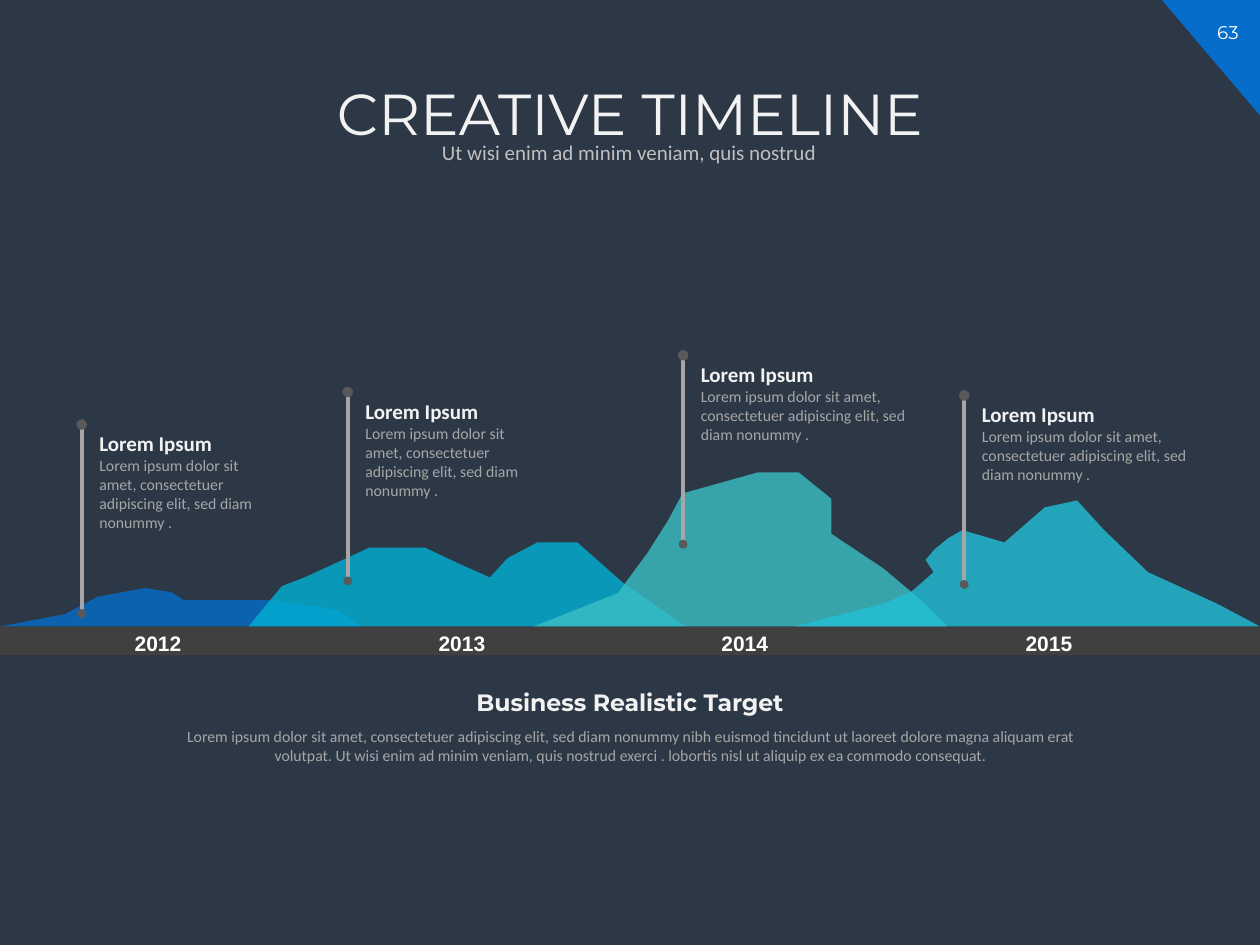
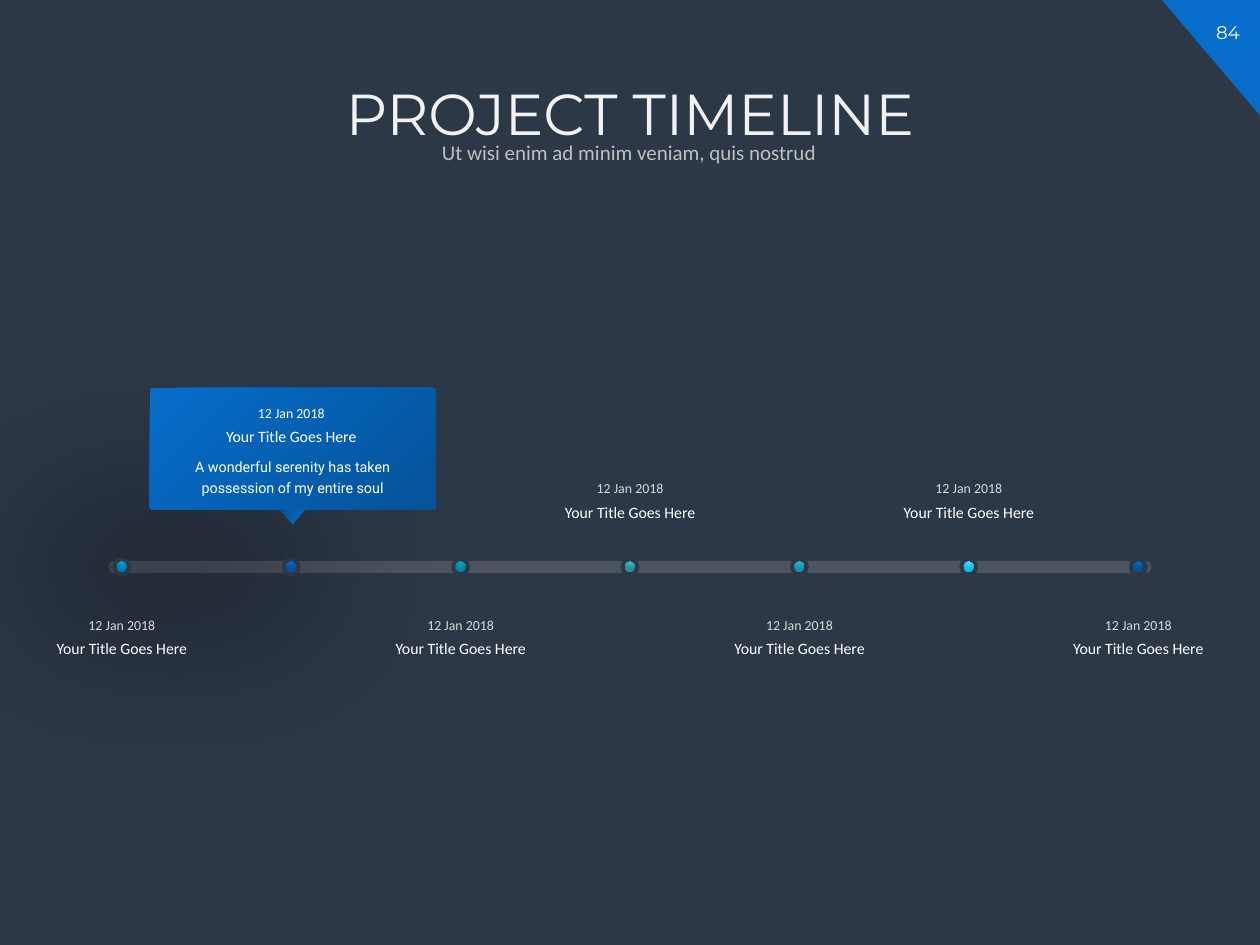
from lxml import etree
from pptx import Presentation
from pptx import util as u
from pptx.dml.color import RGBColor
from pptx.enum import shapes, text
from pptx.oxml import ns

Pt = u.Pt
Kind = shapes.MSO_SHAPE
Align = text.PP_ALIGN
Anchor = text.MSO_ANCHOR

# Colours
NAVY = RGBColor(0x2D, 0x38, 0x47)
BLUE = RGBColor(0x06, 0x6D, 0xCA)
DEEP = RGBColor(0x05, 0x52, 0x98)
SKY = RGBColor(0x00, 0xA4, 0xE6)
CYAN = RGBColor(0x00, 0xB0, 0xD3)
MINT = RGBColor(0x3A, 0xBF, 0xC4)
AQUA = RGBColor(0x21, 0xC0, 0xD7)
ICE = RGBColor(0x55, 0xD4, 0xFA)
BLACK = RGBColor(0, 0, 0)
COAL = RGBColor(0x40, 0x40, 0x40)
STONE = RGBColor(0x59, 0x59, 0x59)
GREY = RGBColor(0xA6, 0xA6, 0xA6)
SILVER = RGBColor(0xBF, 0xBF, 0xBF)
PALE = RGBColor(0xD9, 0xD9, 0xD9)
SNOW = RGBColor(0xF2, 0xF2, 0xF2)
WHITE = RGBColor(0xFF, 0xFF, 0xFF)

# Fonts
HEAD, BODY = "Montserrat", "Calibri"


def add(node, tag, **attrs):
    return etree.SubElement(node, ns.qn(tag), {k: str(v) for k, v in attrs.items()})


def fade(node, share):
    """Set the opacity, in percent, of the first colour under node."""
    add(node.find(".//" + ns.qn("a:srgbClr")), "a:alpha", val=share * 1000)


class Deck:
    def __init__(self):
        self.prs = Presentation()
        self.prs.slide_width, self.prs.slide_height = Pt(720), Pt(540)
        self.slide = None

    def page(self, title, number):
        """Start a slide with its background, corner, number and titles."""
        self.slide = self.prs.slides.add_slide(self.prs.slide_layouts[6])
        back = self.slide.background.fill
        back.solid()
        back.fore_color.rgb = NAVY
        self.shape(Kind.RIGHT_TRIANGLE, 664, 0, 56, 66, BLUE, turn=180)
        self.text(number, 683.3, 8.6, 36.7, 20, size=10.5, font=HEAD)
        self.text(title, 41, 45.4, 638, 52.6, size=33, font=HEAD,
                  color=SNOW, lead=0.9)
        self.text("Ut wisi enim ad minim veniam, quis nostrud", 100, 78.5, 519,
                  18.7, size=12, color=SILVER, lead=0.9, before=9,
                  anchor=Anchor.MIDDLE)

    def text(self, words, x, y, w, h, size=9, font=BODY, color=WHITE, bold=False,
             align=Align.CENTER, anchor=Anchor.TOP, lead=None, before=None):
        box = self.slide.shapes.add_textbox(Pt(x), Pt(y), Pt(w), Pt(h))
        frame = box.text_frame
        frame.word_wrap = True
        frame.vertical_anchor = anchor
        para = frame.paragraphs[0]
        para.alignment = align
        if lead:
            para.line_spacing = lead
        if before:
            para.space_before = Pt(before)
        run = para.add_run()
        run.text = words
        run.font.size, run.font.name, run.font.bold = Pt(size), font, bold
        run.font.color.rgb = color

    def paint(self, item, color):
        """Fill with one colour, or with a gradient if given a pair."""
        item.shadow.inherit = False
        item.line.fill.background()
        if isinstance(color, RGBColor):
            item.fill.solid()
            item.fill.fore_color.rgb = color
            return
        item.fill.gradient()
        item.fill.gradient_angle = 315
        for stop, tone, place in zip(item.fill.gradient_stops, color, (0.02, 1)):
            stop.color.rgb, stop.position = tone, place

    def shape(self, kind, x, y, w, h, color, turn=0):
        item = self.slide.shapes.add_shape(kind, Pt(x), Pt(y), Pt(w), Pt(h))
        item.rotation = turn
        self.paint(item, color)
        return item

    def dot(self, x, y, size, color):
        """Draw a circle around its centre."""
        return self.shape(Kind.OVAL, x - size / 2, y - size / 2, size, size, color)

    def glow(self, item, color, dist=0, angle=0):
        """Add a wide soft shadow."""
        effects = item._element.spPr.find(ns.qn("a:effectLst"))
        outer = add(effects, "a:outerShdw", blurRad=Pt(100), dist=Pt(dist),
                    dir=angle * 60000, algn="ctr", rotWithShape=0)
        add(outer, "a:srgbClr", val=color)
        fade(effects, 40)

    def radial(self, item):
        """Turn a linear gradient into a circle lit from above."""
        grad = item._element.spPr.find(ns.qn("a:gradFill"))
        grad.remove(grad.find(ns.qn("a:lin")))
        path = add(grad, "a:path", path="circle")
        add(path, "a:fillToRect", l=50000, t=-80000, r=50000, b=180000)

    def line(self, x1, y1, x2, y2, width):
        item = self.slide.shapes.add_connector(
            shapes.MSO_CONNECTOR.STRAIGHT, Pt(x1), Pt(y1), Pt(x2), Pt(y2))
        item.line.width = Pt(width)
        item.line.color.rgb = GREY
        add(item._element.spPr, "a:effectLst")
        return item

    def ridge(self, points, color):
        """Draw a see-through mountain outline."""
        first, *rest = [(Pt(x), Pt(y)) for x, y in points]
        pen = self.slide.shapes.build_freeform(*first)
        pen.add_line_segments(rest, close=True)
        item = pen.convert_to_shape()
        self.paint(item, color)
        fade(item._element.spPr, 80)

    def flag(self, x, y, width):
        """Draw a pole with a dot at each end and a note beside it."""
        self.line(x, y, x, y + 108, 2.25)
        self.dot(x, y, 6, STONE)
        self.dot(x, y + 108, 5, STONE)
        self.text("Lorem Ipsum", x + 3, y, 92, 21.6, size=12, color=SNOW,
                  bold=True, align=Align.LEFT)
        self.text("Lorem ipsum dolor sit amet, consectetuer adipiscing elit, "
                  "sed diam nonummy .", x + 3, y + 14.5, width, 51,
                  color=GREY, align=Align.LEFT)

    def event(self, x, y, color=PALE):
        """Write a date and title centred on x."""
        self.text("12 Jan 2018", x - 55, y, 110, 16.5, size=7.9, color=color)
        self.text("Your Title Goes Here", x - 55, y + 13, 110, 18)


# Mountains of the first slide, drawn back to front
RIDGES = [
    (BLUE, [(0, 358), (37, 351), (56, 341), (83, 336), (98, 338.5), (105, 343),
            (156, 343), (192, 348.5), (207, 358)]),
    (CYAN, [(142, 358), (161, 335), (174, 330), (211, 313), (243, 313),
            (262, 322), (280, 330), (290, 319), (307, 310), (330, 310),
            (356, 333), (392, 358)]),
    (MINT, [(305, 358), (353, 339), (370, 316), (382, 297), (390, 282),
            (433, 270), (456.5, 270), (475, 285), (475, 305), (505, 325),
            (527, 343.5), (541.5, 358)]),
    (AQUA, [(454, 358), (505, 345), (521, 338), (533.5, 327), (529, 320),
            (534, 314), (542, 307.5), (550, 303), (574, 310), (597, 290),
            (615.5, 286), (631, 303), (656, 327), (695.5, 345), (720, 358)]),
]
# Year, left of its label, then pole x, pole top and note width
YEARS = [
    ("2012", 58.3, 46.7, 242.6, 109.5),
    ("2013", 232, 198.7, 224, 109.5),
    ("2014", 393.6, 390.4, 203, 137.5),
    ("2015", 567.4, 551, 226, 137.5),
]
# Gradient and glow of each milestone on the second slide
STEPS = [
    ((SKY, RGBColor(0x00, 0x7B, 0xAC)), BLUE),
    ((BLUE, DEEP), SKY),
    ((CYAN, RGBColor(0x00, 0x84, 0x9E)), CYAN),
    ((MINT, RGBColor(0x2C, 0x8F, 0x93)), MINT),
    ((AQUA, RGBColor(0x19, 0x90, 0xA1)), AQUA),
    ((ICE, RGBColor(0x07, 0xBE, 0xF4)), ICE),
    ((BLUE, DEEP), BLUE),
]


def mountains(deck):
    deck.page("CREATIVE TIMELINE", "63")
    deck.shape(Kind.RECTANGLE, 0, 358, 720, 16.5, COAL)
    for color, points in RIDGES:
        deck.ridge(points, color)
    # Closing statement
    deck.text("Lorem ipsum dolor sit amet, consectetuer adipiscing elit, sed diam "
              "nonummy nibh euismod tincidunt ut laoreet dolore magna aliquam erat "
              "volutpat. Ut wisi enim ad minim veniam, quis nostrud exerci . "
              "lobortis nisl ut aliquip ex ea commodo consequat.",
              90.7, 411.8, 538.6, 29, color=GREY)
    deck.text("Business Realistic Target", 257.8, 389.5, 204.5, 23.8, size=13.5,
              font=HEAD, color=SNOW, bold=True)
    # Years and their flags
    for year, left, x, y, width in YEARS:
        deck.text(year, left, 356.6, 64, 21.6, size=12, font="Arial", bold=True)
        deck.flag(x, y, width)


def project(deck):
    deck.page("PROJECT TIMELINE", "84")
    # Track
    track = deck.line(65.5, 324, 654.5, 324, 7)
    track._element.spPr.find(ns.qn("a:ln")).set("cap", "rnd")
    fade(track._element.spPr, 25)
    # Callout
    card = deck.shape(Kind.ROUNDED_RECTANGLE, 85.5, 221.6, 163.5, 69.8, (BLUE, DEEP))
    card.adjustments[0] = 0.03
    deck.glow(card, BLACK, dist=96, angle=135)
    deck.shape(Kind.ISOSCELES_TRIANGLE, 160.3, 291.4, 13.8, 8, (BLUE, DEEP), turn=180)
    deck.text("A wonderful serenity has taken possession of my entire soul",
              85.5, 256.3, 163.5, 31, size=8.2, font="Roboto", lead=1.2)
    # Milestones at equal steps, labels alternating below and above
    for i, (pair, halo) in enumerate(STEPS):
        x = 360 + 96.8 * (i - 3)
        deck.glow(deck.dot(x, 324, 10.8, NAVY), WHITE)
        bead = deck.dot(x, 324, 6, pair)
        deck.radial(bead)
        deck.glow(bead, halo)
        if i == 1:
            deck.event(x, 227.5, WHITE)
        else:
            deck.event(x, 270.7 if i % 2 else 348.7)


def main():
    deck = Deck()
    mountains(deck)
    project(deck)
    deck.prs.save("out.pptx")


if __name__ == "__main__":
    main()
